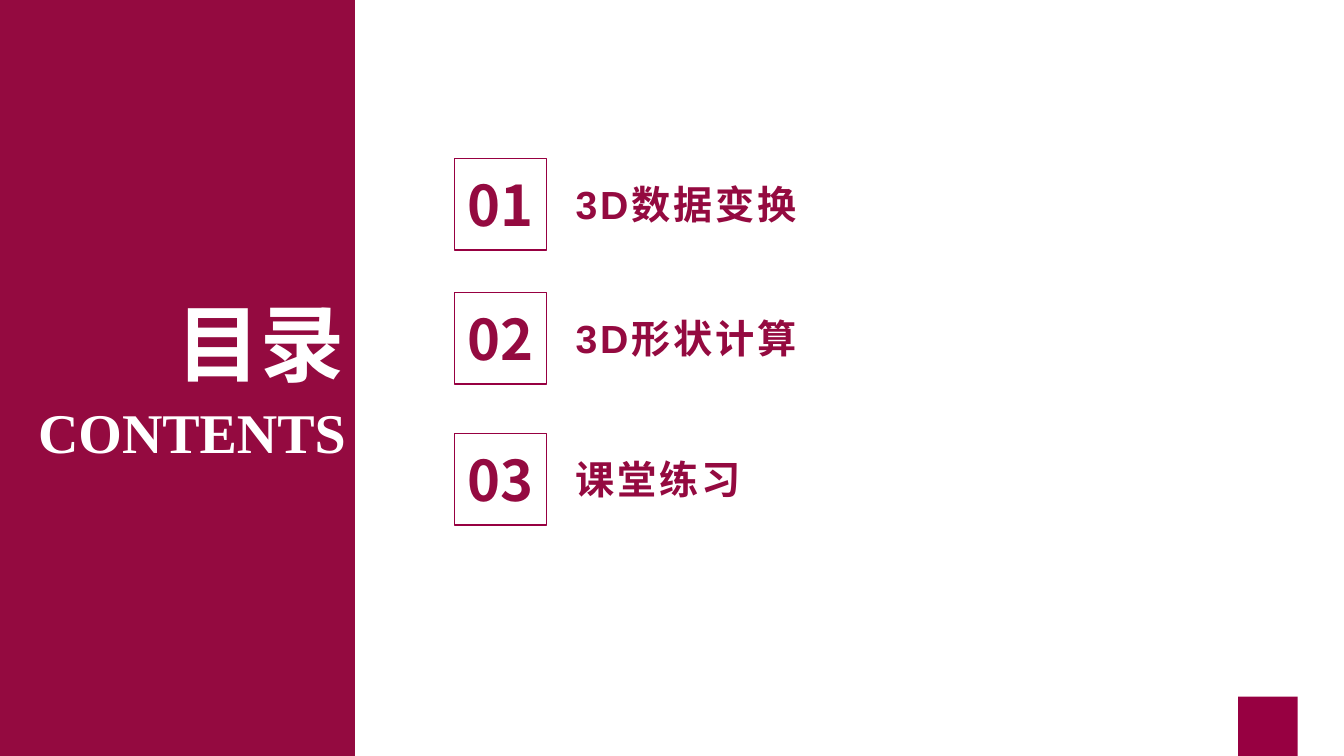
from dataclasses import dataclass

import lxml.etree
import pptx
import pptx.dml.color
import pptx.enum.shapes
import pptx.enum.text
import pptx.oxml.ns
import pptx.util

Inches = pptx.util.Inches
ALIGN = pptx.enum.text.PP_ALIGN
MIDDLE = pptx.enum.text.MSO_ANCHOR.MIDDLE
TOP = pptx.enum.text.MSO_ANCHOR.TOP


@dataclass(frozen=True)
class Theme:
    panel: str = "940A40"
    accent: str = "970041"
    light: str = "FFFFFF"
    chinese_font: str = "Noto Sans CJK SC"
    latin_font: str = "Arial"
    serif_font: str = "Times New Roman"
    title_size: int = 60
    subtitle_size: int = 40
    number_size: int = 40
    label_size: int = 28


THEME = Theme()
BOX_LEFT, BOX_SIDE = 4.51, 0.91
LABEL_LEFT, LABEL_WIDTH, LABEL_HEIGHT = 5.61, 6.18, 0.57
CHAPTERS = [
    (1.57, "3D数据变换"),
    (2.9, "3D形状计算"),
    (4.3, "课堂练习"),
]


def rgb(color):
    return pptx.dml.color.RGBColor.from_string(color)


def write(shape, text, size, font_name, color, align, anchor=TOP, spacing=0):
    """Put one bold run in the shape; spacing is between letters, in points."""
    frame = shape.text_frame
    frame.word_wrap = True
    frame.auto_size = pptx.enum.text.MSO_AUTO_SIZE.NONE
    frame.vertical_anchor = anchor
    paragraph = frame.paragraphs[0]
    paragraph.alignment = align
    run = paragraph.add_run()
    run.text = text
    run.font.size = pptx.util.Pt(size)
    run.font.bold = True
    run.font.color.rgb = rgb(color)
    run.font.name = font_name
    properties = run.font._element
    east_asian = lxml.etree.SubElement(properties, pptx.oxml.ns.qn("a:ea"))
    east_asian.set("typeface", THEME.chinese_font)
    if spacing:
        properties.set("spc", str(spacing * 100))


def add_rectangle(slide, left, top, width, height, fill=None, line=None):
    shape = slide.shapes.add_shape(
        pptx.enum.shapes.MSO_SHAPE.RECTANGLE,
        Inches(left), Inches(top), Inches(width), Inches(height))
    shape.shadow.inherit = False
    if fill:
        shape.fill.solid()
        shape.fill.fore_color.rgb = rgb(fill)
    else:
        shape.fill.background()
    if line:
        shape.line.color.rgb = rgb(line)
        shape.line.width = pptx.util.Pt(1)
    else:
        shape.line.fill.background()
    return shape


def add_text(slide, left, top, width, height, *style, **options):
    box = slide.shapes.add_textbox(
        Inches(left), Inches(top), Inches(width), Inches(height))
    write(box, *style, **options)


def place_title(slide, panel):
    title = slide.shapes.title
    title.left, title.top = Inches(0.98), Inches(2.84)
    title.width, title.height = Inches(2.54), Inches(1.11)
    write(title, "目录", THEME.title_size, THEME.chinese_font,
          THEME.light, ALIGN.RIGHT)
    panel.element.addnext(title.element)


def add_chapter(slide, number, top, label):
    box = add_rectangle(slide, BOX_LEFT, top, BOX_SIDE, BOX_SIDE,
                        line=THEME.accent)
    write(box, f"{number:02d}", THEME.number_size, THEME.chinese_font,
          THEME.panel, ALIGN.CENTER, MIDDLE)
    label_top = top + (BOX_SIDE - LABEL_HEIGHT) / 2
    add_text(slide, LABEL_LEFT, label_top, LABEL_WIDTH, LABEL_HEIGHT,
             label, THEME.label_size, THEME.latin_font, THEME.panel,
             ALIGN.LEFT, spacing=2)


def main():
    presentation = pptx.Presentation()
    presentation.slide_width = Inches(13.33)
    presentation.slide_height = Inches(7.5)
    slide = presentation.slides.add_slide(presentation.slide_layouts[5])

    add_rectangle(slide, 12.28, 6.91, 0.59, 0.59, fill=THEME.accent)
    panel = add_rectangle(slide, 0, 0, 3.52, 7.5, fill=THEME.panel)
    place_title(slide, panel)
    add_text(slide, 0, 3.89, 3.53, 0.77, "CONTENTS", THEME.subtitle_size,
             THEME.serif_font, THEME.light, ALIGN.RIGHT)
    for number, (top, label) in enumerate(CHAPTERS, start=1):
        add_chapter(slide, number, top, label)

    presentation.save("out.pptx")


if __name__ == "__main__":
    main()
